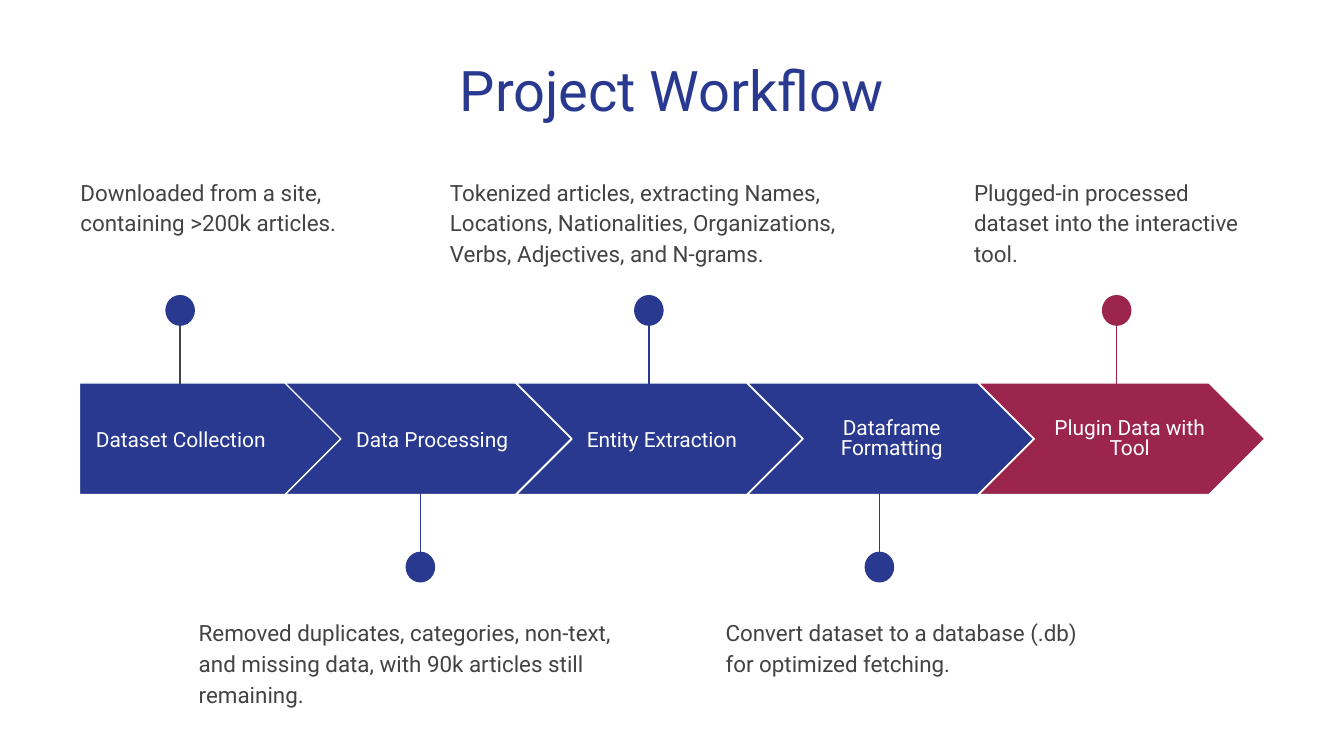
"""Build the project workflow slide: five arrow steps with pinned notes."""
import pptx
import pptx.dml.color
import pptx.enum.shapes
import pptx.enum.text
import pptx.oxml.ns
import pptx.util
import lxml.etree
from dataclasses import dataclass

Pt = pptx.util.Pt
Shape = pptx.enum.shapes.MSO_SHAPE
Align = pptx.enum.text.PP_ALIGN
Anchor = pptx.enum.text.MSO_ANCHOR


@dataclass(frozen=True)
class Theme:
    blue: str = "2A3990"
    red: str = "9C254D"
    grey: str = "434343"
    white: str = "FFFFFF"
    font: str = "Roboto"
    title: float = 30
    note: float = 12
    label: float = 11.2
    line: float = 0.75


LOOK = Theme()
TITLE = "Project Workflow"
STEPS = [
    dict(name="Dataset Collection", mid=96.8, width=108.7, space=1,
         fill=LOOK.blue, stem=LOOK.grey, pin=96.5, left=36, wide=168.5,
         note="Downloaded from a site, containing >200k articles."),
    dict(name="Data Processing", mid=231.5, width=98.6, space=1,
         fill=LOOK.blue, stem=LOOK.blue, pin=225.2, left=99.4, wide=254.2,
         note="Removed duplicates, categories, non-text, and missing data, "
              "with 90k articles still remaining."),
    dict(name="Entity Extraction", mid=354.6, width=98.6, space=1,
         fill=LOOK.blue, stem=LOOK.blue, pin=347.6, left=234, wide=240.5,
         note="Tokenized articles, extracting Names, Locations, Nationalities, "
              "Organizations, Verbs, Adjectives, and N-grams."),
    dict(name="Dataframe Formatting", mid=477.7, width=98.6, space=0.8,
         fill=LOOK.blue, stem=LOOK.blue, pin=471.1, left=381.6, wide=209.5,
         note="Convert dataset to a database (.db) for optimized fetching."),
    dict(name="Plugin Data with Tool", mid=605.2, width=98.6, space=0.8,
         fill=LOOK.red, stem=LOOK.red, pin=598.2, left=514.8, wide=168.5,
         note="Plugged-in processed dataset into the interactive tool."),
]
TOP, HIGH = 205.2, 59.8
FIRST, PITCH = 152.7, 123.84
DOT_W, DOT_H = 15.1, 15.8
ABOVE = dict(dot=158.4, start=161.3, end=205.9, note=86.4)
BELOW = dict(dot=295.9, start=308.9, end=264.3, note=322.6)


def tint(name):
    return pptx.dml.color.RGBColor.from_string(name)


def write(frame, text, size, color, align, space=1, after=0):
    frame.text = text
    frame.word_wrap = True
    frame.auto_size = pptx.enum.text.MSO_AUTO_SIZE.NONE
    for side in ("left", "top", "right", "bottom"):
        setattr(frame, f"margin_{side}", Pt(7.2))
    para = frame.paragraphs[0]
    para.alignment, para.line_spacing = align, space
    para.space_before, para.space_after = Pt(0), Pt(after)
    para.font.name, para.font.size = LOOK.font, Pt(size)
    para.font.color.rgb = tint(color)


def add_form(slide, kind, box, fill, line):
    form = slide.shapes.add_shape(kind, *map(Pt, box))
    form.shadow.inherit = False
    form.fill.solid()
    form.fill.fore_color.rgb = tint(fill)
    form.line.color.rgb = tint(line)
    form.line.width = Pt(LOOK.line)


def add_text(slide, box, anchor, *style):
    frame = slide.shapes.add_textbox(*map(Pt, box)).text_frame
    write(frame, *style)
    frame.vertical_anchor = anchor


def add_stem(slide, mid, start, end, color):
    stem = slide.shapes.add_connector(
        pptx.enum.shapes.MSO_CONNECTOR.STRAIGHT,
        Pt(mid), Pt(start), Pt(mid), Pt(end))
    stem.line.color.rgb = tint(color)
    stem.line.width = Pt(LOOK.line)
    props = stem._element.spPr
    lxml.etree.SubElement(props, pptx.oxml.ns.qn("a:effectLst"))


def add_step(slide, rank, step):
    if rank == 0:
        kind, left, width = Shape.PENTAGON, 42.5, 140.4
    else:
        kind, left, width = Shape.CHEVRON, FIRST + PITCH * (rank - 1), 153.4
    add_form(slide, kind, (left, TOP, width, HIGH), step["fill"], LOOK.white)
    add_text(slide, (step["mid"] - step["width"] / 2, 216.7, step["width"], 37.4),
             Anchor.MIDDLE, step["name"], LOOK.label, LOOK.white,
             Align.CENTER, step["space"])
    side = BELOW if rank % 2 else ABOVE
    add_stem(slide, step["pin"], side["start"], side["end"], step["stem"])
    add_form(slide, Shape.OVAL,
             (step["pin"] - DOT_W / 2, side["dot"], DOT_W, DOT_H),
             step["fill"], step["fill"])
    add_text(slide, (step["left"], side["note"], step["wide"], 72),
             Anchor.TOP, step["note"], LOOK.note, LOOK.grey,
             Align.LEFT, 1.15, 12)


def main():
    deck = pptx.Presentation()
    deck.slide_width, deck.slide_height = Pt(720), Pt(405)
    slide = deck.slides.add_slide(deck.slide_layouts[5])
    title = slide.shapes.title
    title.left, title.top = Pt(24.5), Pt(22.3)
    title.width, title.height = Pt(671), Pt(47.5)
    write(title.text_frame, TITLE, LOOK.title, LOOK.blue, Align.CENTER)
    title.text_frame.vertical_anchor = Anchor.TOP
    for rank, step in enumerate(STEPS):
        add_step(slide, rank, step)
    deck.save("out.pptx")


if __name__ == "__main__":
    main()
